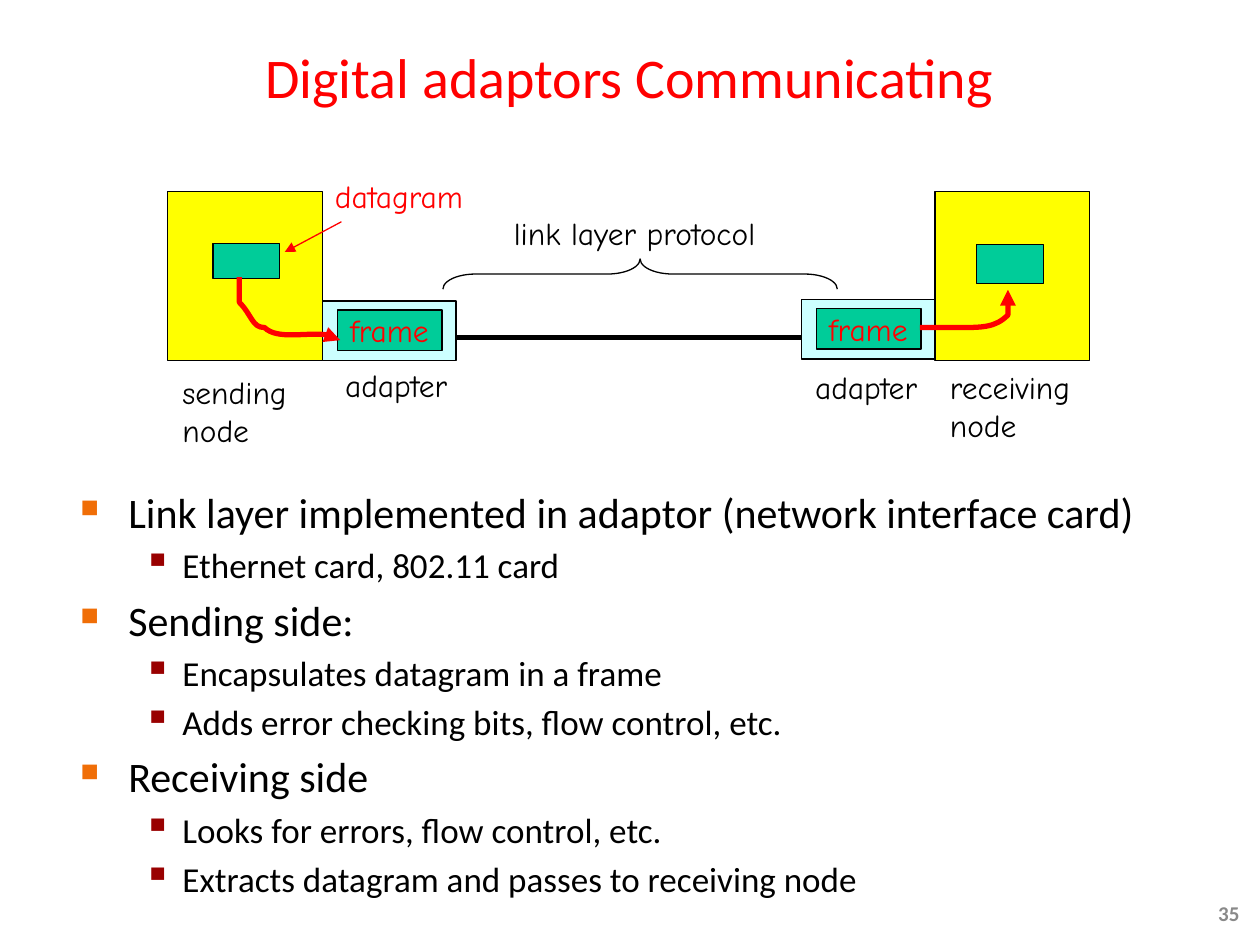
from typing import NamedTuple

from lxml import etree
from pptx import Presentation
from pptx.dml.color import RGBColor
from pptx.enum.shapes import MSO_CONNECTOR, MSO_SHAPE
from pptx.enum.text import MSO_ANCHOR, MSO_AUTO_SIZE, PP_ALIGN
from pptx.oxml.ns import qn
from pptx.util import Inches, Pt

RECT, BRACE = MSO_SHAPE.RECTANGLE, MSO_SHAPE.LEFT_BRACE
LINE = MSO_CONNECTOR.STRAIGHT
TOP, MIDDLE = MSO_ANCHOR.TOP, MSO_ANCHOR.MIDDLE
LEFT, CENTER = PP_ALIGN.LEFT, PP_ALIGN.CENTER
GROW = MSO_AUTO_SIZE.SHAPE_TO_FIT_TEXT

RED = RGBColor(0xFF, 0x00, 0x00)
BLACK = RGBColor(0x00, 0x00, 0x00)
GREY = RGBColor(0x89, 0x89, 0x89)
YELLOW = RGBColor(0xFF, 0xFF, 0x00)
GREEN = RGBColor(0x00, 0xCC, 0x99)
CYAN = RGBColor(0xCC, 0xFF, 0xFF)
ORANGE = RGBColor(0xF0, 0x6E, 0x07)
MAROON = RGBColor(0x99, 0x00, 0x00)

WIDTH, HEIGHT = Inches(10), Inches(7.5)
COLS = 100
CELL = WIDTH / COLS
THIN, THICK = 0.75, 3


class Box(NamedTuple):
    """Left, top, width and height in grid cells."""
    x: float
    y: float
    w: float
    h: float

    def emu(self) -> list[int]:
        """Give the box in slide units."""
        return [round(v * CELL) for v in self]


class Font(NamedTuple):
    """Look of a run."""
    name: str
    size: int
    color: RGBColor
    bold: bool = False


class Level(NamedTuple):
    """Look of a bullet level."""
    font: Font
    mark: str
    color: RGBColor
    scale: int
    margin: float
    hang: float


class Label(NamedTuple):
    """Note in the drawing."""
    box: Box
    lines: tuple[str, ...]
    color: RGBColor = BLACK


class Node(NamedTuple):
    """Host, its datagram and its adapter."""
    host: Box
    data: Box
    card: Box


class Curve(NamedTuple):
    """Chain of cubic arcs, three points each after the start."""
    start: tuple[float, float]
    points: list[tuple[float, float]]


MAJOR = Level(Font("Calibri", 24, BLACK), "■", ORANGE, 60, 3.8, 3.8)
MINOR = Level(Font("Calibri", 20, BLACK), "▪", MAROON, 110, 8.1, 3.1)

POINTS = [
    (MAJOR, "Link layer implemented in adaptor (network interface card)"),
    (MINOR, "Ethernet card, 802.11 card"),
    (MAJOR, "Sending side:"),
    (MINOR, "Encapsulates datagram in a frame"),
    (MINOR, "Adds error checking bits, flow control, etc."),
    (MAJOR, "Receiving side"),
    (MINOR, "Looks for errors, flow control, etc."),
    (MINOR, "Extracts datagram and passes to receiving node"),
]
NODES = [
    Node(Box(13.3, 15.2, 12.3, 13.4), Box(16.9, 19.3, 5.3, 2.8), Box(25.6, 23.9, 10.6, 4.7)),
    Node(Box(74.2, 15.2, 12.3, 13.4), Box(77.5, 19.4, 5.3, 3.1), Box(63.6, 23.8, 10.6, 4.7)),
]
LABELS = [
    Label(Box(13.5, 29.1, 10.7, 7), ("sending", "node")),
    Label(Box(74.4, 28.7, 12.5, 7), ("receiving", "node")),
    Label(Box(25.6, 13.6, 13, 4), ("datagram",), RED),
    Label(Box(26.4, 28.6, 11.1, 4), ("adapter",)),
    Label(Box(63.7, 28.7, 11.1, 4), ("adapter",)),
    Label(Box(39.8, 16.5, 23, 4), ("link layer protocol",)),
]
CURVES = [
    Curve((19.4, 21.6), [(19.2, 22.6), (19.1, 23.7), (19.4, 24.4),
                         (19.6, 25.2), (19.8, 25.9), (21, 26.3),
                         (22.2, 26.7), (25.7, 26.5), (26.7, 26.6)]),
    Curve((73.3, 26.2), [(74.4, 26.2), (75.5, 26.3), (76.5, 26.2),
                         (77.6, 26), (78.9, 26), (79.6, 25.4),
                         (80.2, 24.8), (80.3, 23), (80.4, 22.6)]),
]


def write(para, text: str, font: Font) -> None:
    """Add one run to a paragraph."""
    run = para.add_run()
    run.text = text
    run.font.name, run.font.size = font.name, Pt(font.size)
    run.font.bold, run.font.color.rgb = font.bold, font.color


def fill(frame, lines: tuple[str, ...], font: Font, align=LEFT) -> None:
    """Write lines as paragraphs."""
    for i, line in enumerate(lines):
        para = frame.add_paragraph() if i else frame.paragraphs[0]
        para.alignment = align
        write(para, line, font)


def text(shapes, box: Box, anchor=TOP, wrap: bool = True):
    """Add a text box and give its frame."""
    frame = shapes.add_textbox(*box.emu()).text_frame
    frame.word_wrap, frame.vertical_anchor = wrap, anchor
    return frame


def shape(shapes, box: Box, color: RGBColor | None = None, kind=RECT):
    """Add an outlined shape."""
    item = shapes.add_shape(kind, *box.emu())
    item.shadow.inherit = False
    if color is None:
        item.fill.background()
    else:
        item.fill.solid()
        item.fill.fore_color.rgb = color
    stroke(item, BLACK, THIN)
    return item


def stroke(item, color: RGBColor, width: float, arrow: bool = False) -> None:
    """Set a line and its arrowhead."""
    item.line.color.rgb, item.line.width = color, Pt(width)
    if arrow:
        etree.SubElement(item.line._get_or_add_ln(), qn("a:tailEnd"), type="triangle")


def line(shapes, ends: tuple[float, ...], color: RGBColor, width: float, arrow=False) -> None:
    """Add a straight line."""
    item = shapes.add_connector(LINE, *(round(v * CELL) for v in ends))
    stroke(item, color, width, arrow)
    etree.SubElement(item._element.spPr, qn("a:effectLst"))


def curve(shapes, bend: Curve) -> None:
    """Add a curved arrow by joining point triples into cubic arcs."""
    pen = shapes.build_freeform(*bend.start, scale=CELL)
    pen.add_line_segments(bend.points, close=False)
    item = pen.convert_to_shape()
    item.shadow.inherit = False
    item.fill.background()
    stroke(item, RED, THICK, True)
    steps = list(item._element.iter(qn("a:lnTo")))
    for i in range(0, len(steps), 3):
        arc = etree.SubElement(steps[i].getparent(), qn("a:cubicBezTo"))
        for step in steps[i:i + 3]:
            arc.append(step[0])
            step.getparent().remove(step)


def node(shapes, part: Node) -> None:
    """Draw a host and its adapter."""
    shape(shapes, part.host, YELLOW)
    shape(shapes, part.data, GREEN)
    group = shapes.add_group_shape().shapes
    shape(group, part.card, CYAN)
    inner = Box(part.card.x + 1.2, part.card.y + 0.7, 8.3, 3.2)
    frame = shape(group, inner, GREEN).text_frame
    frame.word_wrap, frame.vertical_anchor = False, MIDDLE
    fill(frame, ("frame",), Font("Comic Neue", 18, RED))


def bullet(para, level: Level) -> None:
    """Give a paragraph its indent and mark."""
    props = para._p.get_or_add_pPr()
    props.set("marL", str(round(level.margin * CELL)))
    props.set("indent", str(round(-level.hang * CELL)))
    tint = etree.SubElement(props, qn("a:buClr"))
    etree.SubElement(tint, qn("a:srgbClr"), val=str(level.color))
    etree.SubElement(props, qn("a:buSzPct"), val=str(level.scale * 1000))
    etree.SubElement(props, qn("a:buChar"), char=level.mark)


def main() -> None:
    """Build the slide."""
    deck = Presentation()
    deck.slide_width, deck.slide_height = WIDTH, HEIGHT
    shapes = deck.slides.add_slide(deck.slide_layouts[6]).shapes
    fill(text(shapes, Box(3.9, 2.1, 92.1, 7.9), MIDDLE),
         ("Digital adaptors Communicating",), Font("Calibri", 32, RED), CENTER)
    fill(text(shapes, Box(95.7, 71, 4, 3), MIDDLE), ("35",), Font("Calibri", 12, GREY, True))
    body = text(shapes, Box(5.4, 38.1, 91.7, 33.2))
    for i, (level, words) in enumerate(POINTS):
        para = body.add_paragraph() if i else body.paragraphs[0]
        bullet(para, level)
        if i:
            para.space_before = Pt(level.font.size * 0.2)
        write(para, words, level.font)
    line(shapes, (36.1, 26.8, 63.7, 26.8), BLACK, THICK)
    for part in NODES:
        node(shapes, part)
    for label in LABELS:
        frame = text(shapes, label.box, wrap=False)
        frame.auto_size = GROW
        fill(frame, label.lines, Font("Comic Neue", 18, label.color))
    line(shapes, (27.1, 17.6, 22.6, 20), RED, THIN, True)
    for bend in CURVES:
        curve(shapes, bend)
    brace = shape(shapes, Box(49.6, 6.1, 2.4, 31.3), kind=BRACE)
    brace.rotation, brace.adjustments[0] = 90, 1.08
    deck.save("out.pptx")


if __name__ == "__main__":
    main()
